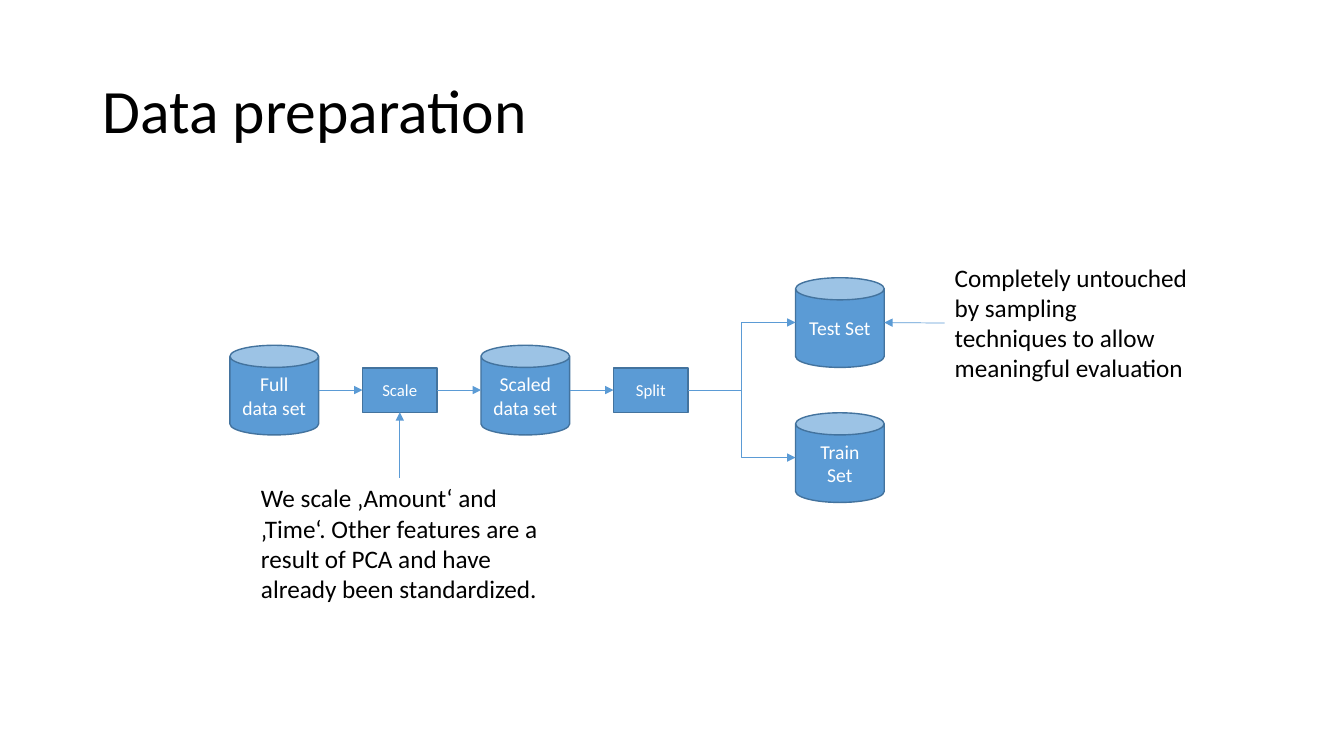
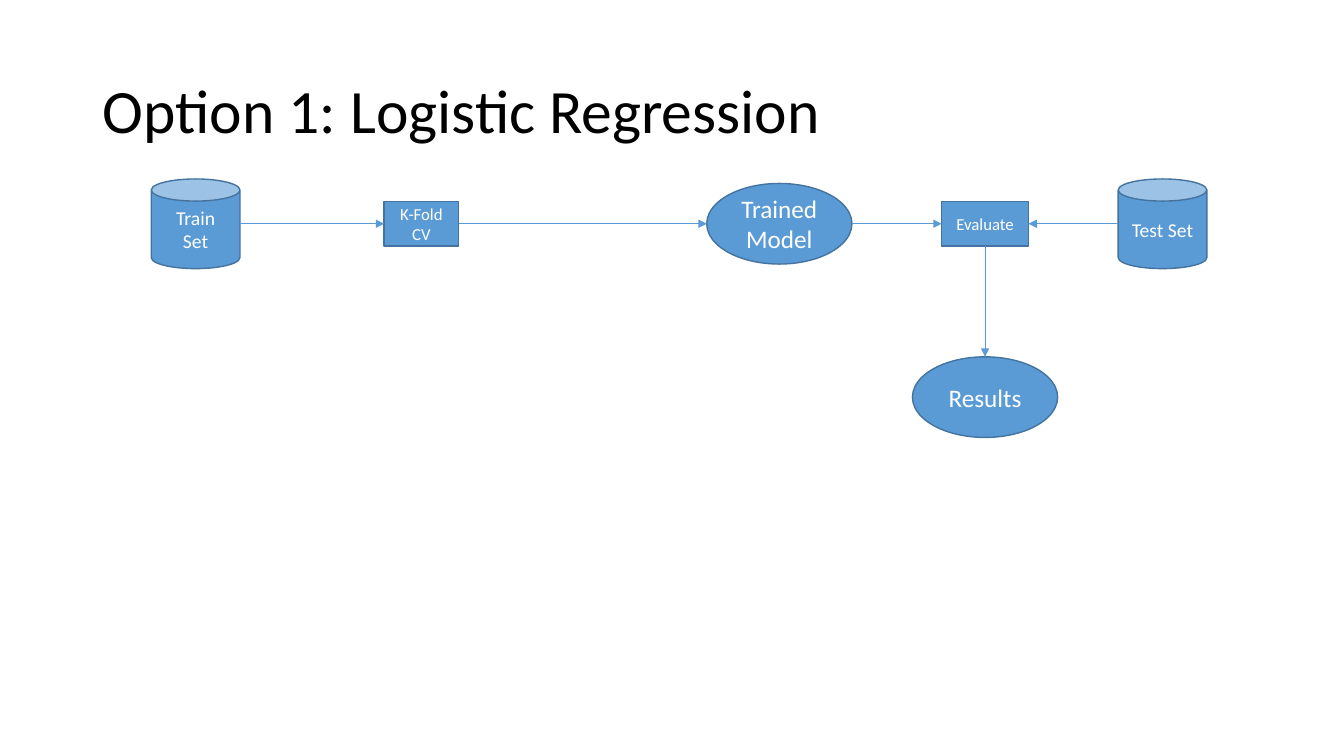
"""Build two slides showing the data preparation and logistic regression pipelines."""
import pptx
import pptx.dml.color
import pptx.enum.shapes
import pptx.enum.text
import pptx.oxml.ns
import pptx.util
from dataclasses import dataclass
from lxml import etree

Inches = pptx.util.Inches
Pt = pptx.util.Pt
RGB = pptx.dml.color.RGBColor
Shape = pptx.enum.shapes.MSO_SHAPE
Connector = pptx.enum.shapes.MSO_CONNECTOR
Anchor = pptx.enum.text.MSO_ANCHOR
TOP, LEFT, BOTTOM, RIGHT = range(4)


@dataclass(frozen=True)
class Theme:
    font: str = "Calibri"
    text: RGB = RGB.from_string("000000")
    node_text: RGB = RGB.from_string("FFFFFF")
    fill: RGB = RGB.from_string("5B9BD5")
    outline: RGB = RGB.from_string("43739E")
    title_size: int = 44
    note_size: int = 18


theme = Theme()
node_styles = {
    "data": (Shape.CAN, 0.88, 0.89, 14),
    "step": (Shape.RECTANGLE, 0.74, 0.44, 12),
    "wide step": (Shape.RECTANGLE, 0.86, 0.44, 12),
    "outcome": (Shape.OVAL, 1.44, 0.8, 18),
}


def add_node(slide, style, center_x, center_y, label):
    outline, width, height, size = node_styles[style]
    node = slide.shapes.add_shape(
        outline, Inches(center_x - width / 2), Inches(center_y - height / 2),
        Inches(width), Inches(height))
    node.shadow.inherit = False
    node.fill.solid()
    node.fill.fore_color.rgb = theme.fill
    node.line.color.rgb = theme.outline
    node.line.width = Pt(1)
    frame = node.text_frame
    frame.word_wrap = True
    frame.vertical_anchor = Anchor.MIDDLE
    frame.text = label
    paragraph = frame.paragraphs[0]
    paragraph.alignment = pptx.enum.text.PP_ALIGN.CENTER
    paragraph.font.name = theme.font
    paragraph.font.size = Pt(size)
    paragraph.font.color.rgb = theme.node_text
    return node


def add_arrow(slide, source, source_side, target, target_side, route=Connector.STRAIGHT):
    points = []
    for shape, side in ((source, source_side), (target, target_side)):
        across = {LEFT: 0, RIGHT: shape.width}.get(side, shape.width // 2)
        down = {TOP: 0, BOTTOM: shape.height}.get(side, shape.height // 2)
        points += [shape.left + across, shape.top + down]
    arrow = slide.shapes.add_connector(route, *points)
    if route == Connector.STRAIGHT:
        for shape, side, join in ((source, source_side, arrow.begin_connect),
                                  (target, target_side, arrow.end_connect)):
            is_note = shape.shape_type == pptx.enum.shapes.MSO_SHAPE_TYPE.TEXT_BOX
            if is_note or shape.auto_shape_type == Shape.RECTANGLE:
                join(shape, side)
    arrow.line.color.rgb = theme.fill
    arrow.line.width = Pt(0.5)
    outline = arrow.line._get_or_add_ln()
    etree.SubElement(outline, pptx.oxml.ns.qn("a:tailEnd"), type="triangle")
    etree.SubElement(arrow._element.spPr, pptx.oxml.ns.qn("a:effectLst"))


presentation = pptx.Presentation()
presentation.slide_width = Inches(13.33)
presentation.slide_height = Inches(7.5)
blank_layout = presentation.slide_layouts[6]

slides = []
for heading in ("Data preparation", "Option 1: Logistic Regression"):
    slide = presentation.slides.add_slide(blank_layout)
    title = slide.shapes.add_textbox(Inches(0.92), Inches(0.4), Inches(11.5), Inches(1.45))
    title.text_frame.word_wrap = True
    title.text_frame.vertical_anchor = Anchor.MIDDLE
    title.text_frame.text = heading
    paragraph = title.text_frame.paragraphs[0]
    paragraph.line_spacing = 0.9
    paragraph.font.name = theme.font
    paragraph.font.size = Pt(theme.title_size)
    paragraph.font.color.rgb = theme.text
    slides.append(slide)
preparation, regression = slides

flow_y, branch_offset = 3.87, 0.67
full_set, scale, scaled_set, split = [
    add_node(preparation, style, 2.72 + 1.245 * position, flow_y, label)
    for position, (style, label) in enumerate((
        ("data", "Full\vdata set"), ("step", "Scale"),
        ("data", "Scaled\vdata set"), ("step", "Split")))
]
for source, target in ((full_set, scale), (scale, scaled_set), (scaled_set, split)):
    add_arrow(preparation, source, RIGHT, target, LEFT)

test_set = add_node(preparation, "data", 8.33, flow_y - branch_offset, "Test Set")
train_set = add_node(preparation, "data", 8.33, flow_y + branch_offset, "Train\vSet")
for branch in (test_set, train_set):
    add_arrow(preparation, split, RIGHT, branch, LEFT, Connector.ELBOW)

notes = (
    (9.37, 2.55, 2.58, LEFT, test_set, RIGHT,
     "Completely untouched by sampling techniques to allow meaningful evaluation"),
    (2.49, 4.74, 2.95, TOP, scale, BOTTOM,
     "We scale ‚Amount‘ and ‚Time‘. Other features are a result of PCA "
     "and have already been standardized."),
)
for left, top, width, note_side, subject, subject_side, wording in notes:
    note = preparation.shapes.add_textbox(Inches(left), Inches(top), Inches(width), Inches(1.31))
    note.text_frame.word_wrap = True
    note.text_frame.auto_size = pptx.enum.text.MSO_AUTO_SIZE.SHAPE_TO_FIT_TEXT
    note.text_frame.text = wording
    paragraph = note.text_frame.paragraphs[0]
    paragraph.font.name = theme.font
    paragraph.font.size = Pt(theme.note_size)
    paragraph.font.color.rgb = theme.text
    add_arrow(preparation, note, note_side, subject, subject_side)

model_y = 2.22
training_data, cross_validation, trained_model, evaluate, test_data = [
    add_node(regression, style, center_x, model_y, label)
    for style, center_x, label in (
        ("data", 1.94, "Train\vSet"), ("step", 4.18, "K-Fold CV"),
        ("outcome", 7.73, "Trained Model"), ("wide step", 9.77, "Evaluate"),
        ("data", 11.53, "Test Set"))
]
results = add_node(regression, "outcome", 9.77, 3.94, "Results")
for source, source_side, target, target_side in (
        (training_data, RIGHT, cross_validation, LEFT),
        (cross_validation, RIGHT, trained_model, LEFT),
        (trained_model, RIGHT, evaluate, LEFT),
        (test_data, LEFT, evaluate, RIGHT),
        (evaluate, BOTTOM, results, TOP)):
    add_arrow(regression, source, source_side, target, target_side)

presentation.save("out.pptx")
